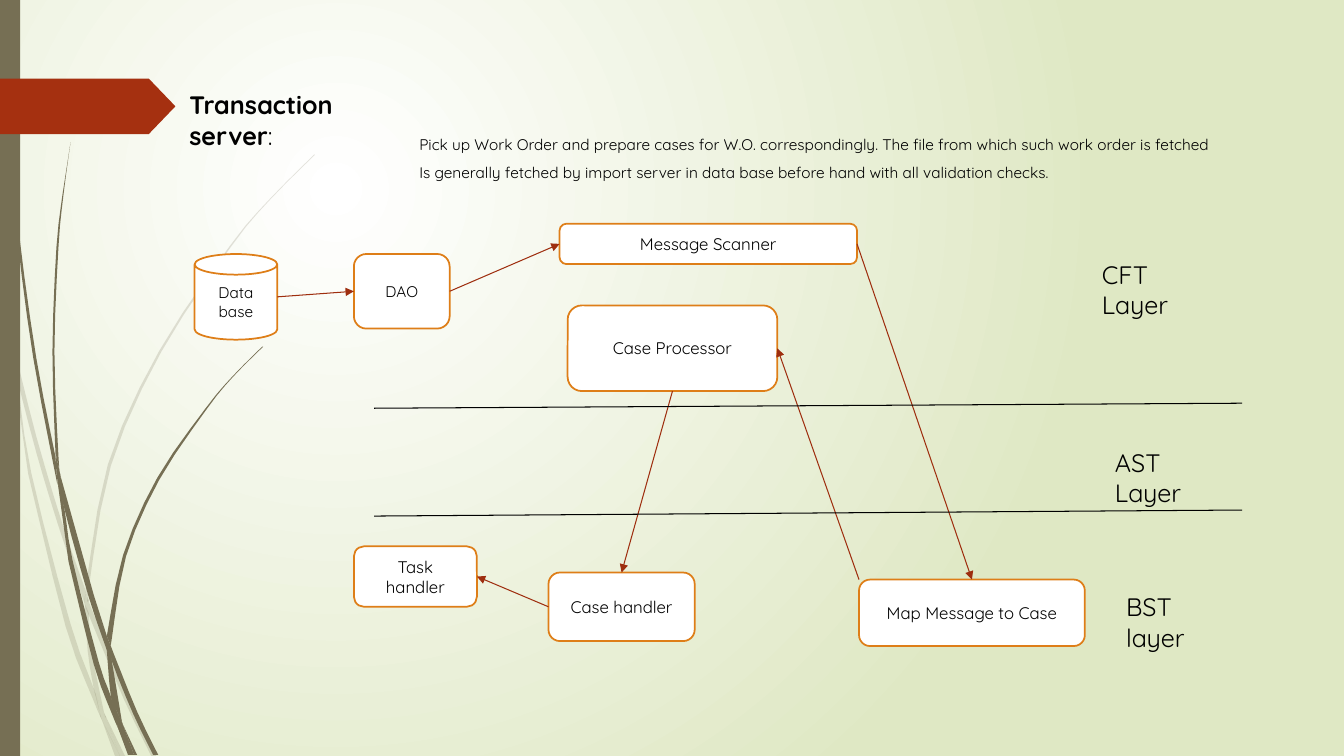
from dataclasses import dataclass
from lxml.etree import SubElement
from pptx import Presentation
from pptx.dml.color import RGBColor
from pptx.enum.shapes import MSO_CONNECTOR, MSO_SHAPE
from pptx.enum.text import MSO_ANCHOR, PP_ALIGN
from pptx.oxml import parse_xml
from pptx.oxml.ns import nsdecls, qn
from pptx.util import Inches, Pt


@dataclass(frozen=True)
class Theme:
    font: str = "Quicksand"
    ink: str = "000000"
    white: str = "FFFFFF"
    wash: str = "DFE8C4"
    olive: str = "766F54"
    banner: str = "A53010"
    outline: str = "DE7E18"
    arrow: str = "9E2E0F"
    heading: int = 18
    label: int = 12
    small: int = 11


THEME = Theme()

# Blades of grass: the points along one edge, then back along the other
PALE_BLADES = [
    ([(.11, 3.5), (.09, 3.22), (0, 2.82)], [(0, 2.99), (.1, 3.44)]),
    ([(.14, 3.45), (.36, 4.33), (.62, 5.2), (.85, 5.86)], [(.84, 5.99), (.58, 5.22), (.36, 4.49), (.17, 3.76)]),
    ([(.88, 5.96), (.92, 6.07), (1.27, 6.92), (1.55, 7.5)], [(1.5, 7.5), (1.23, 6.94), (.88, 6.1)]),
    ([(1.05, 7.11), (1.24, 7.5)], [(1.19, 7.5)]),
    ([(.11, 3.5), (.17, 3.76), (.31, 4.69), (.7, 6.19), (.93, 6.83), (.99, 7.07)],
     [(1.01, 7.14), (.92, 6.93), (.65, 6.21), (.28, 4.7)]),
    ([(.84, 5.99), (.87, 6.46), (.93, 6.83), (.96, 6.92)], [(1.05, 7.11), (1.03, 7.06), (.91, 6.46), (.88, 6.08)]),
    ([(.88, 5.96), (.88, 5.84), (1.1, 4.62), (1.6, 3.49), (2.29, 2.45), (2.68, 1.98), (3.12, 1.54)],
     [(3.12, 1.53), (2.68, 1.97), (2.28, 2.44), (1.58, 3.48), (1.07, 4.61), (.85, 5.84)]),
    ([(1.01, 7.14), (1.14, 7.5)], [(1.19, 7.5)]),
    ([(.85, 5.86), (.84, 5.99), (.88, 6.1)], [(.88, 5.96)]),
    ([(.93, 6.83), (.99, 7.07), (1.01, 7.14), (1.19, 7.5)], [(1.05, 7.11), (.96, 6.92)]),
]
DARK_BLADES = [
    ([(.03, 0), (.07, 1.1), (.17, 2.33), (.33, 3.55), (.57, 4.81)],
     [(.55, 4.53), (.36, 3.55), (.19, 2.32), (.08, 1.09), (.04, 0)]),
    ([(.6, 4.72), (.64, 5.05), (.88, 5.92), (1.06, 6.45)], [(1.06, 6.31), (.93, 5.9)]),
    ([(1.1, 6.41), (1.11, 6.56), (1.32, 7.08), (1.52, 7.49)], [(1.57, 7.49), (1.36, 7.06), (1.13, 6.49)]),
    ([(.57, 4.77), (.64, 5.05), (.72, 5.56), (.98, 6.57), (1.1, 6.91), (1.16, 7.17)],
     [(1.17, 7.22), (1.11, 7.08), (.93, 6.59), (.68, 5.57)]),
    ([(.6, 4.72), (.58, 4.53), (.54, 3.49), (.58, 2.45), (.63, 1.93), (.7, 1.41)],
     [(.62, 1.93), (.56, 2.45), (.52, 3.49), (.55, 4.49)]),
    ([(1.22, 7.19), (1.33, 7.49)], [(1.36, 7.49)]),
    ([(.55, 4.49), (.57, 4.77), (.64, 5.05)], [(.6, 4.72)]),
    ([(1.1, 6.41), (1.11, 6.33), (1.25, 5.52), (1.58, 4.76), (2.05, 4.06), (2.31, 3.74), (2.61, 3.44)],
     [(2.6, 3.44), (2.31, 3.73), (2.04, 4.05), (1.56, 4.74), (1.22, 5.51), (1.06, 6.31)]),
    ([(1.17, 7.22), (1.27, 7.49)], [(1.31, 7.49)]),
    ([(1.06, 6.45), (1.1, 6.91), (1.16, 7.06), (1.22, 7.19)], [(1.21, 7.16), (1.11, 6.56), (1.09, 6.51)]),
    ([(1.06, 6.31), (1.06, 6.45), (1.11, 6.56)], [(1.1, 6.41)]),
    ([(1.1, 6.91), (1.17, 7.22), (1.3, 7.49)], [(1.33, 7.49), (1.22, 7.19), (1.16, 7.06)]),
]

# Boxes of the flow: label, left, top, width, height, type size
BOXES = [
    ("Data base", 1.93, 2.52, .82, .85, THEME.small),
    ("DAO", 3.51, 2.52, .95, .74, THEME.small),
    ("Message Scanner", 5.55, 2.22, 2.95, .4, THEME.label),
    ("Map Message to Case", 8.52, 5.75, 2.24, .66, THEME.label),
    ("Case Processor", 5.63, 3.03, 2.08, .85, THEME.label),
    ("Case handler", 5.44, 5.68, 1.45, .68, THEME.label),
    ("Task handler", 3.51, 5.42, 1.22, .6, THEME.label),
]
TOP, LEFT, BOTTOM, RIGHT, CORNER = (.5, 0), (0, .5), (.5, 1), (1, .5), (0, 0)
FLOW = [
    ("Data base", RIGHT, "DAO", LEFT),
    ("DAO", RIGHT, "Message Scanner", LEFT),
    ("Message Scanner", RIGHT, "Map Message to Case", TOP),
    ("Map Message to Case", CORNER, "Case Processor", RIGHT),
    ("Case Processor", BOTTOM, "Case handler", TOP),
    ("Case handler", LEFT, "Task handler", RIGHT),
]
LAYERS = [("CFT Layer", 10.83, 2.52, 1.37), ("AST Layer", 10.96, 4.39, 1.36), ("BST layer", 11.07, 5.82, 1.25)]
DIVIDERS = [((3.71, 4.05), (12.32, 4)), ((3.71, 5.12), (12.32, 5.06))]


def paint(shape, fill, line=None):
    shape.shadow.inherit = False
    shape.fill.solid()
    shape.fill.fore_color.rgb = RGBColor.from_string(fill)
    if line:
        shape.line.color.rgb = RGBColor.from_string(line)
        shape.line.width = Pt(1.25)
    else:
        shape.line.fill.background()


def add_run(paragraph, text, size, bold=False):
    run = paragraph.add_run()
    run.text = text
    run.font.name, run.font.size, run.font.bold = THEME.font, Pt(size), bold
    run.font.color.rgb = RGBColor.from_string(THEME.ink)


def add_text(slide, box, paragraphs, size, spacing=None):
    """Each paragraph is a list of (text, bold) runs."""
    frame = slide.shapes.add_textbox(*map(Inches, box)).text_frame
    frame.word_wrap = True
    for index, runs in enumerate(paragraphs):
        paragraph = frame.add_paragraph() if index else frame.paragraphs[0]
        paragraph.line_spacing = spacing
        for text, bold in runs:
            add_run(paragraph, text, size, bold)


def add_line(slide, start, end, line, arrow=False):
    connector = slide.shapes.add_connector(MSO_CONNECTOR.STRAIGHT, *map(Inches, (*start, *end)))
    connector.line.color.rgb = RGBColor.from_string(line)
    connector.line.width = Pt(.75)
    properties = connector._element.spPr
    if arrow:
        SubElement(properties.find(qn("a:ln")), qn("a:tailEnd"), type="triangle")
    SubElement(properties, qn("a:effectLst"))


def smooth(points, steps=3):
    """Catmull-Rom curve through the points."""
    padded = [points[0], *points, points[-1]]
    curve = [tuple((2 * q + (r - p) * t + (2 * p - 5 * q + 4 * r - s) * t ** 2
                    + (3 * q - p - 3 * r + s) * t ** 3) / 2 for p, q, r, s in zip(a, b, c, d))
             for a, b, c, d in zip(padded, padded[1:], padded[2:], padded[3:])
             for t in (step / steps for step in range(steps))]
    return curve + [points[-1]]


def add_blade(slide, edges, opacity):
    outline = [(Inches(x), Inches(y)) for edge in edges for x, y in smooth(edge)]
    builder = slide.shapes.build_freeform(*outline[0])
    builder.add_line_segments(outline[1:], close=True)
    blade = builder.convert_to_shape()
    paint(blade, THEME.olive)
    if opacity < 100:
        tint = blade._element.spPr.find(qn("a:solidFill"))[0]
        SubElement(tint, qn("a:alpha"), val=str(opacity * 1000))


def add_backdrop(slide, height):
    # Radial wash
    fill = slide.background.fill
    fill.gradient()
    for stop, code in zip(fill.gradient_stops, (THEME.white, THEME.wash)):
        stop.color.rgb = RGBColor.from_string(code)
    gradient = slide._element.find(".//" + qn("a:gradFill"))
    gradient.replace(gradient.find(qn("a:lin")), parse_xml(
        f'<a:path {nsdecls("a")} path="circle"><a:fillToRect l="50000" t="50000" r="100000" b="100000"/></a:path>'))
    # Grass, side bar and banner
    for blades, opacity in ((PALE_BLADES, 20), (DARK_BLADES, 100)):
        for edges in blades:
            add_blade(slide, edges, opacity)
    bar = slide.shapes.add_shape(MSO_SHAPE.RECTANGLE, 0, 0, Inches(.2), Inches(height))
    paint(bar, THEME.olive)
    banner = slide.shapes.add_shape(MSO_SHAPE.PENTAGON, 0, Inches(.78), Inches(1.74), Inches(.55))
    banner.adjustments[0] = .48
    paint(banner, THEME.banner)


def add_header(slide, left, top):
    add_text(slide, (left, top, 2.47, 1.01), [[("Transaction server", True), (":", False)]], THEME.heading)
    add_text(slide, (left + 2.28, top + .36, 8.49, .62), [
        [("Pick up Work Order and prepare cases for W.O. correspondingly. "
          "The file from which such work order is fetched ", False)],
        [("Is generally fetched by import server in data base before hand "
          "with all validation checks. ", False)]], THEME.small, 1.5)


def add_flow(slide):
    frames = {}
    for label, left, top, width, height, size in BOXES:
        kind = MSO_SHAPE.CAN if label == "Data base" else MSO_SHAPE.ROUNDED_RECTANGLE
        box = slide.shapes.add_shape(kind, *map(Inches, (left, top, width, height)))
        paint(box, THEME.white, THEME.outline)
        box.text_frame.vertical_anchor = MSO_ANCHOR.MIDDLE
        paragraph = box.text_frame.paragraphs[0]
        paragraph.alignment = PP_ALIGN.CENTER
        add_run(paragraph, label, size)
        frames[label] = left, top, width, height

    def site(label, anchor):
        left, top, width, height = frames[label]
        return left + width * anchor[0], top + height * anchor[1]

    for source, exit_site, target, entry_site in FLOW:
        add_line(slide, site(source, exit_site), site(target, entry_site), THEME.arrow, arrow=True)


def add_layers(slide):
    for start, end in DIVIDERS:
        add_line(slide, start, end, THEME.ink)
    for name, left, top, width in LAYERS:
        add_text(slide, (left, top, width, .4), [[(name, False)]], THEME.heading)


presentation = Presentation()
presentation.slide_width, presentation.slide_height = Inches(13.33), Inches(7.5)
slide = presentation.slides.add_slide(presentation.slide_layouts[6])
add_backdrop(slide, 7.5)
add_header(slide, 1.78, .84)
add_flow(slide)
add_layers(slide)
presentation.save("out.pptx")
